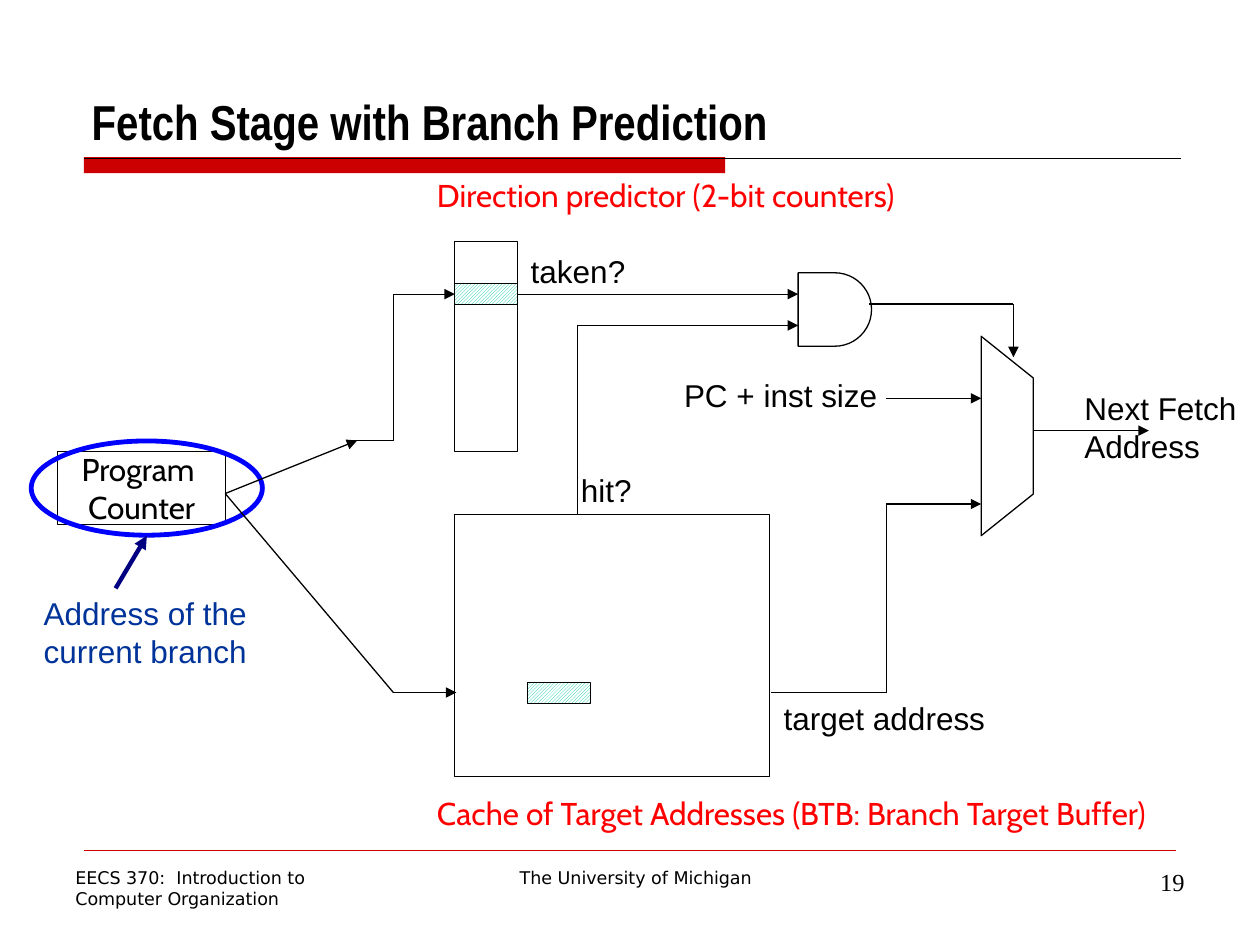
"""Build the slide on the fetch stage with branch prediction."""
import pptx
import pptx.dml.color
import pptx.enum.dml
import pptx.enum.shapes
import pptx.enum.text
import pptx.oxml
import pptx.oxml.ns
import pptx.util

Cm, Pt = pptx.util.Cm, pptx.util.Pt
RGB = pptx.dml.color.RGBColor.from_string
SHAPE = pptx.enum.shapes.MSO_SHAPE
ALIGN = pptx.enum.text.PP_ALIGN
ANCHOR = pptx.enum.text.MSO_ANCHOR
FIT = pptx.enum.text.MSO_AUTO_SIZE

THEME = {
    "ink": "000000", "bar": "CC0000", "ring": "0000FF", "pointer": "000080",
    "stripe": "00CC99", "paper": "FFFFFF",
    "title": ("Arial Narrow", 28, "000000", True),
    "label": ("Arial", 18, "000000", False),
    "note": ("Arial", 18, "003399", False),
    "heading": ("Cabin", 18, "FF0000", False),
    "register": ("Cabin", 18, "000000", False),
    "footer": ("DejaVu Sans", 10, "000000", False),
    "number": ("Times New Roman", 14, "000000", False),
}

prs = pptx.Presentation()
prs.slide_width, prs.slide_height = Cm(25.4), Cm(19.05)
s = prs.slides.add_slide(prs.slide_layouts[6])


def write(sp, lines, style, align=ALIGN.LEFT, **frame):
    font, size, color, bold = THEME[style]
    tf = sp.text_frame
    for name, value in {"word_wrap": False, **frame}.items():
        setattr(tf, name, value)
    for i, line in enumerate(lines):
        p = tf.add_paragraph() if i else tf.paragraphs[0]
        p.alignment = align
        r = p.add_run()
        r.text = line
        for name, value in {"name": font, "size": Pt(size), "bold": bold}.items():
            setattr(r.font, name, value)
        r.font.color.rgb = RGB(color)


def wire(points, arrow=True, color="ink", width=0.75, start=None, end=None):
    legs = list(zip(points, points[1:]))
    for i, (a, b) in enumerate(legs):
        c = s.shapes.add_connector(pptx.enum.shapes.MSO_CONNECTOR.STRAIGHT,
                                   *(Cm(v) for v in a + b))
        c.line.color.rgb = RGB(THEME[color])
        c.line.width = Pt(width)
        last = i == len(legs) - 1
        if start is not None and i == 0:
            c.begin_connect(start, 3)
        if end is not None and last:
            c.end_connect(end, 1)
        if arrow and last:
            tail = pptx.oxml.parse_xml(
                f'<a:tailEnd {pptx.oxml.ns.nsdecls("a")} type="triangle"/>')
            c.line._get_or_add_ln().append(tail)
        c._element.spPr.append(pptx.oxml.parse_xml(
            f'<a:effectLst {pptx.oxml.ns.nsdecls("a")}/>'))


bar = s.shapes.add_shape(SHAPE.RECTANGLE, Cm(1.69), Cm(3.17), Cm(12.93), Cm(0.32))
bar.shadow.inherit = False
bar.fill.solid()
bar.fill.fore_color.rgb = RGB(THEME["bar"])
bar.line.fill.background()
wire([(1.7, 3.18), (23.8, 3.18)], arrow=False, width=0.25)
wire([(1.7, 17.15), (23.7, 17.15)], arrow=False, color="bar", width=0.25)

parts = {}
for name, kind, box, color, width in [
    ("predictor", SHAPE.RECTANGLE, (9.17, 4.87, 1.27, 4.24), "ink", 0.75),
    ("counter", SHAPE.RECTANGLE, (9.17, 5.72, 1.27, 0.42), "ink", 0.75),
    ("cache", SHAPE.RECTANGLE, (9.17, 10.37, 6.35, 5.29), "ink", 0.75),
    ("entry", SHAPE.RECTANGLE, (10.64, 13.76, 1.27, 0.42), "ink", 0.75),
    ("pc", SHAPE.RECTANGLE, (1.16, 9.1, 3.39, 1.48), "ink", 0.75),
    ("and_gate", SHAPE.FLOWCHART_DELAY, (16.09, 5.5, 1.48, 1.48), "ink", 0.75),
    ("ring", SHAPE.OVAL, (0.63, 8.89, 4.66, 1.9), "ring", 2.75),
]:
    sp = parts[name] = s.shapes.add_shape(kind, *(Cm(v) for v in box))
    sp.shadow.inherit = False
    sp.fill.background()
    sp.line.color.rgb = RGB(THEME[color])
    sp.line.width = Pt(width)

for name in ("counter", "entry"):
    fill = parts[name].fill
    fill.patterned()
    fill.pattern = pptx.enum.dml.MSO_PATTERN.DARK_UPWARD_DIAGONAL
    fill.fore_color.rgb = RGB(THEME["stripe"])
    fill.back_color.rgb = RGB(THEME["paper"])

write(parts["pc"], ["Program ", "Counter"], "register", ALIGN.CENTER,
      vertical_anchor=ANCHOR.MIDDLE)

fb = s.shapes.build_freeform(Cm(19.78), Cm(6.78))
fb.add_line_segments([(Cm(x), Cm(y)) for x, y in
                      [(20.83, 7.62), (20.83, 9.96), (19.78, 10.8)]])
mux = fb.convert_to_shape()
mux.shadow.inherit = False
mux.fill.background()
mux.line.color.rgb = RGB(THEME["ink"])
mux.line.width = Pt(0.75)

wire([(4.54, 9.95), (7.2, 8.88)])
wire([(7.1, 8.88), (7.93, 8.88), (7.93, 5.93), (9.17, 5.93)], end=parts["counter"])
wire([(4.54, 9.95), (7.93, 13.96), (9.2, 13.96)])
wire([(10.44, 5.93), (16.09, 5.93)], start=parts["counter"])
wire([(11.64, 10.37), (11.64, 6.56), (16.09, 6.56)])
wire([(17.52, 6.13), (20.43, 6.13), (20.43, 7.2)])
wire([(15.55, 13.96), (17.87, 13.96), (17.87, 10.16), (19.78, 10.16)])
wire([(17.87, 8.03), (19.78, 8.03)])
wire([(20.83, 8.68), (23.16, 8.68)])
wire([(2.33, 11.86), (2.96, 10.8)], color="pointer", width=2.5)

for box, lines, style in [
    ((8.56, 3.43, 10.26, 1.02), ["Direction predictor (2-bit counters)"], "heading"),
    ((8.56, 15.88, 16.1, 1.02),
     ["Cache of Target Addresses (BTB: Branch Target Buffer)"], "heading"),
    ((10.45, 4.95, 2.43, 1.02), ["taken?"], "label"),
    ((11.46, 9.37, 1.7, 1.02), ["hit?"], "label"),
    ((13.54, 7.45, 4.42, 1.02), ["PC + inst size"], "label"),
    ((15.55, 13.97, 4.57, 1.02), ["target address"], "label"),
    ((21.61, 7.72, 3.58, 1.78), ["Next Fetch", "Address"], "label"),
    ((0.63, 11.86, 4.78, 1.78), ["Address of the", "current branch"], "note"),
]:
    sp = s.shapes.add_textbox(*(Cm(v) for v in box))
    write(sp, lines, style, auto_size=FIT.SHAPE_TO_FIT_TEXT)

for box, lines, style, align, anchor in [
    ((1.6, 0.84, 22.23, 2.31), ["Fetch Stage with Branch Prediction"], "title",
     ALIGN.LEFT, ANCHOR.BOTTOM),
    ((1.27, 17.35, 6.99, 1.12),
     ["EECS 370:  Introduction to", "Computer Organization"], "footer",
     ALIGN.LEFT, ANCHOR.TOP),
    ((8.05, 17.35, 9.53, 0.69), ["The University of Michigan"], "footer",
     ALIGN.CENTER, ANCHOR.TOP),
    ((18.21, 17.35, 5.92, 1.32), ["19"], "number", ALIGN.RIGHT, ANCHOR.TOP),
]:
    sp = s.shapes.add_textbox(*(Cm(v) for v in box))
    write(sp, lines, style, align, word_wrap=True, vertical_anchor=anchor)

prs.save("out.pptx")
